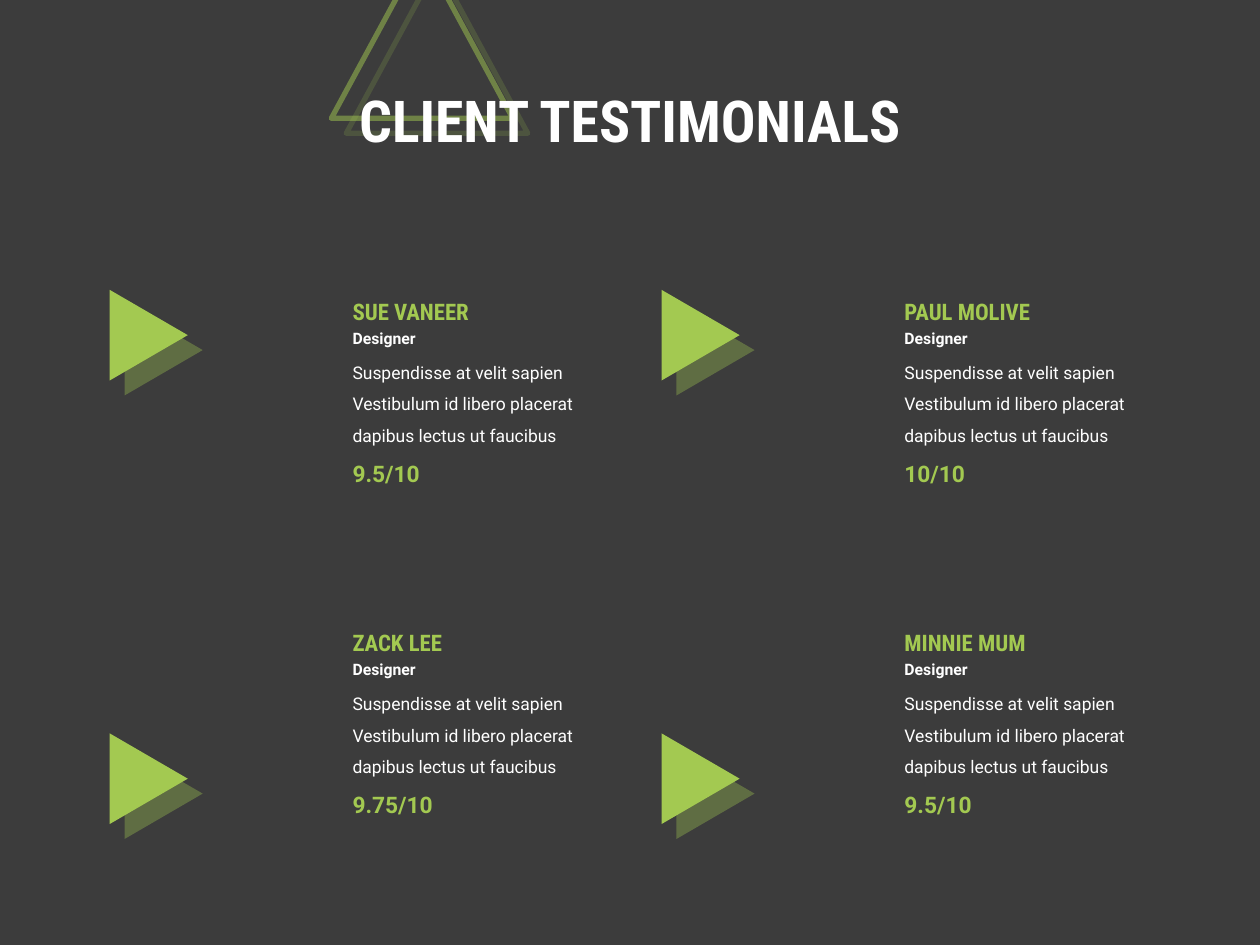
import pptx
import pptx.dml.color
import pptx.enum.shapes
import pptx.enum.text
import pptx.oxml
import pptx.oxml.ns
import pptx.util
from pptx.util import Inches

GREEN, WHITE, DARK = "A3C951", "FFFFFF", "3C3C3C"
BODY, HEAD = "Roboto", "Roboto Condensed"
NS = pptx.oxml.ns.nsdecls("a")
QUOTE = ("Suspendisse at velit sapien Vestibulum id libero placerat "
         "dapibus lectus ut faucibus")
# Name, role, quote, score
CLIENTS = [
    ("SUE VANEER", "Designer", QUOTE, "9.5/10"),
    ("PAUL MOLIVE", "Designer", QUOTE, "10/10"),
    ("ZACK LEE", "Designer", QUOTE, "9.75/10"),
    ("MINNIE MUM", "Designer", QUOTE, "9.5/10"),
]
# Offset from card top, width, height, size, font, colour, bold, line spacing
LINES = [
    (0, 1.39, 0.32, 13, HEAD, GREEN, True, 1),
    (0.25, 0.78, 0.25, 9, BODY, WHITE, True, 1),
    (0.43, 2.13, 0.85, 10, BODY, WHITE, False, 1.5),
    (1.29, 1.12, 0.32, 13, BODY, GREEN, True, 1),
]


def rgb(code):
    return pptx.dml.color.RGBColor.from_string(code)


def style(para, size, face, color, bold):
    for run in para.runs:
        font = run.font
        font.size, font.name, font.bold = pptx.util.Pt(size), face, bold
        font.color.rgb = rgb(color)


def add_shade(shape):
    """Give the shape a hard green shadow to the lower right."""
    shape.shadow.inherit = False
    effects = shape._element.spPr.find(pptx.oxml.ns.qn("a:effectLst"))
    effects.append(pptx.oxml.parse_xml(
        f'<a:outerShdw {NS} blurRad="0" dist="{pptx.util.Pt(12.1)}" '
        f'dir="2700000" algn="tl" rotWithShape="0"><a:srgbClr val="{GREEN}">'
        f'<a:alpha val="35000"/></a:srgbClr></a:outerShdw>'))


def add_peak(slide, left, top, width, height):
    return slide.shapes.add_shape(
        pptx.enum.shapes.MSO_SHAPE.ISOSCELES_TRIANGLE,
        Inches(left), Inches(top), Inches(width), Inches(height))


def add_header(slide, left, top, width, height):
    # Title
    title = slide.shapes.title
    title.left, title.top = Inches(left), Inches(top)
    title.width, title.height = Inches(width), Inches(height)
    frame = title.text_frame
    frame.text = "CLIENT TESTIMONIALS"
    frame.auto_size = pptx.enum.text.MSO_AUTO_SIZE.NONE
    frame.vertical_anchor = pptx.enum.text.MSO_ANCHOR.MIDDLE
    para = frame.paragraphs[0]
    para.alignment = pptx.enum.text.PP_ALIGN.CENTER
    para.line_spacing = 0.9
    style(para, 33, HEAD, WHITE, True)

    # Outlined triangle behind the title
    peak = add_peak(slide, left + 0.18, top - 0.88, 1.44, 1.33)
    peak.fill.background()
    peak.line.width = pptx.util.Pt(3)
    peak.line.color.rgb = rgb(GREEN)
    tint = peak.line._ln.find(".//" + pptx.oxml.ns.qn("a:srgbClr"))
    tint.append(pptx.oxml.parse_xml(f'<a:alpha {NS} val="50000"/>'))
    add_shade(peak)
    title._element.addprevious(peak._element)


def add_card(slide, left, top, drop, texts):
    # Arrow triangle
    arrow = add_peak(slide, left, top + drop, 0.72, 0.62)
    arrow.rotation = 90
    arrow.fill.solid()
    arrow.fill.fore_color.rgb = rgb(GREEN)
    arrow.line.fill.background()
    add_shade(arrow)

    # Name, role, quote and score
    for text, line in zip(texts, LINES):
        down, width, height, size, face, color, bold, gap = line
        box = slide.shapes.add_textbox(Inches(left + 1.88), Inches(top + down),
                                       Inches(width), Inches(height))
        frame = box.text_frame
        frame.word_wrap = True
        frame.auto_size = pptx.enum.text.MSO_AUTO_SIZE.SHAPE_TO_FIT_TEXT
        frame.text = text
        para = frame.paragraphs[0]
        para.line_spacing = gap
        style(para, size, face, color, bold)


def main():
    deck = pptx.Presentation()
    deck.slide_width, deck.slide_height = Inches(10), Inches(7.5)
    slide = deck.slides.add_slide(deck.slide_layouts[5])
    slide.background.fill.solid()
    slide.background.fill.fore_color.rgb = rgb(DARK)

    add_header(slide, 2.45, 0.49, 5.1, 0.98)

    # Two by two grid; the lower arrows sit further down their cards
    drops = (0.04, 0.93)
    for spot, texts in enumerate(CLIENTS):
        row, col = divmod(spot, 2)
        add_card(slide, 0.82 + 4.38 * col, 2.31 + 2.63 * row, drops[row], texts)

    deck.save("out.pptx")


if __name__ == "__main__":
    main()
